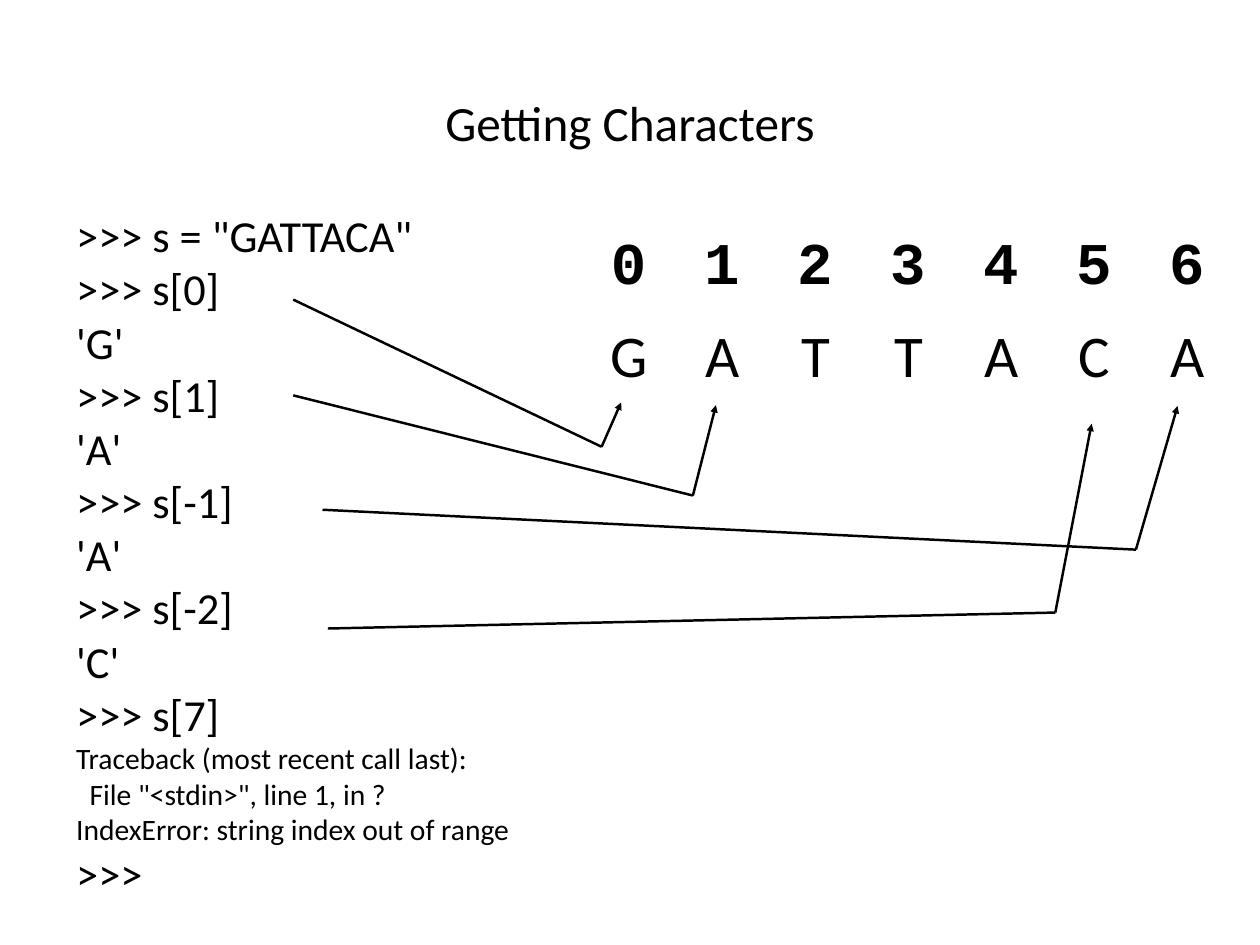
import dataclasses

import pptx
import pptx.dml.color
import pptx.enum.shapes
import pptx.enum.text
import pptx.oxml
import pptx.util

Inches = pptx.util.Inches
Pt = pptx.util.Pt


@dataclasses.dataclass(frozen=True)
class Theme:
    ink: pptx.dml.color.RGBColor = pptx.dml.color.RGBColor(0, 0, 0)
    text_font: str = "Calibri"
    index_font: str = "Courier New"
    title_size: int = 40
    sequence_size: int = 48
    code_size: int = 36
    error_size: int = 24
    line_width: int = 2


THEME = Theme()
NO_TABLE_STYLE = "{2D5ABB26-0587-4C30-8999-92F81FD0307C}"
SEQUENCE = "GATTACA"
SESSION = [
    '>>> s = "GATTACA"',
    ">>> s[0]",
    "'G'",
    ">>> s[1]",
    "'A'",
    ">>> s[-1]",
    "'A'",
    ">>> s[-2]",
    "'C'",
    ">>> s[7]",
    "Traceback (most recent call last):",
    '  File "<stdin>", line 1, in ?',
    "IndexError: string index out of range",
    ">>>",
]
ERROR_LINES = range(10, 13)
POINTERS = [
    ((3.31, 3.38), (6.79, 5.04), (7.01, 4.54)),
    ((3.31, 4.46), (7.82, 5.59), (8.08, 4.57)),
    ((3.64, 5.75), (12.82, 6.2), (13.29, 4.58)),
    ((3.7, 7.09), (11.91, 6.91), (12.32, 4.78)),
]


def style_runs(paragraph, size, font=THEME.text_font, bold=False):
    for run in paragraph.runs:
        run.font.name = font
        run.font.size = Pt(size)
        run.font.bold = bold
        run.font.color.rgb = THEME.ink


def place(shape, box):
    shape.left, shape.top, shape.width, shape.height = map(Inches, box)


def add_title(slide, box):
    title = slide.shapes.title
    place(title, box)
    frame = title.text_frame
    frame.text = "Getting Characters"
    frame.vertical_anchor = pptx.enum.text.MSO_ANCHOR.MIDDLE
    heading = frame.paragraphs[0]
    heading.alignment = pptx.enum.text.PP_ALIGN.CENTER
    heading.space_after = Pt(2)
    style_runs(heading, THEME.title_size)


def add_sequence_row(slide, box, symbols, line_spacing, font, bold=False):
    left, top, width, height = map(Inches, box)
    frame = slide.shapes.add_table(1, len(symbols), left, top, width, height)
    row = frame.table
    row.first_row = False
    row.horz_banding = False
    properties = row._tbl.tblPr
    properties.find(pptx.oxml.ns.qn("a:tableStyleId")).text = NO_TABLE_STYLE
    for column, symbol in enumerate(symbols):
        row.columns[column].width = width // len(symbols)
        cell = row.cell(0, column)
        cell.fill.background()
        cell.vertical_anchor = pptx.enum.text.MSO_ANCHOR.MIDDLE
        cell.text_frame.text = symbol
        paragraph = cell.text_frame.paragraphs[0]
        paragraph.alignment = pptx.enum.text.PP_ALIGN.CENTER
        paragraph.line_spacing = line_spacing
        style_runs(paragraph, THEME.sequence_size, font, bold)


def add_session(slide, box):
    session = slide.placeholders[1]
    place(session, box)
    frame = session.text_frame
    frame.margin_left = frame.margin_right = 0
    frame.margin_top = frame.margin_bottom = 0
    frame.word_wrap = True
    frame.auto_size = pptx.enum.text.MSO_AUTO_SIZE.NONE
    frame.vertical_anchor = pptx.enum.text.MSO_ANCHOR.TOP
    frame.text = "\n".join(SESSION)
    for number, line in enumerate(frame.paragraphs):
        line.space_before = Pt(0)
        line.alignment = pptx.enum.text.PP_ALIGN.LEFT
        properties = line._p.get_or_add_pPr()
        properties.set("marL", "0")
        properties.set("indent", "0")
        pptx.oxml.xmlchemy.OxmlElement
        properties.append(pptx.oxml.xmlchemy.OxmlElement("a:buNone"))
        is_error = number in ERROR_LINES
        style_runs(line, THEME.error_size if is_error else THEME.code_size)


def add_line(slide, start, end, arrow=False):
    points = [Inches(length) for length in (*start, *end)]
    line = slide.shapes.add_connector(
        pptx.enum.shapes.MSO_CONNECTOR.STRAIGHT, *points
    )
    line.line.color.rgb = THEME.ink
    line.line.width = Pt(THEME.line_width)
    if arrow:
        head = pptx.oxml.xmlchemy.OxmlElement("a:tailEnd")
        head.set("type", "triangle")
        line.line._get_or_add_ln().append(head)
    line._element.spPr.append(pptx.oxml.xmlchemy.OxmlElement("a:effectLst"))


def add_pointers(slide, box):
    left, top = box[:2]
    for pointer in POINTERS:
        start, elbow, tip = [(left + x, top + y) for x, y in pointer]
        add_line(slide, start, elbow)
        add_line(slide, elbow, tip, arrow=True)


def main():
    deck = pptx.Presentation()
    deck.slide_width = Inches(14.22)
    deck.slide_height = Inches(10.66)
    slide = deck.slides.add_slide(deck.slide_layouts[1])
    add_title(slide, (1.39, 0.04, 11.44, 2.67))
    add_sequence_row(
        slide, (6.58, 3.43, 7.35, 1.25), SEQUENCE, 0.85, THEME.text_font
    )
    indices = [str(index) for index in range(len(SEQUENCE))]
    add_sequence_row(
        slide, (6.57, 2.12, 7.35, 1.9), indices, 0.62, THEME.index_font, True
    )
    add_session(slide, (0.86, 2.35, 5.92, 7.8))
    add_pointers(slide, (0, 0, 14.22, 10.66))
    deck.save("out.pptx")


if __name__ == "__main__":
    main()
